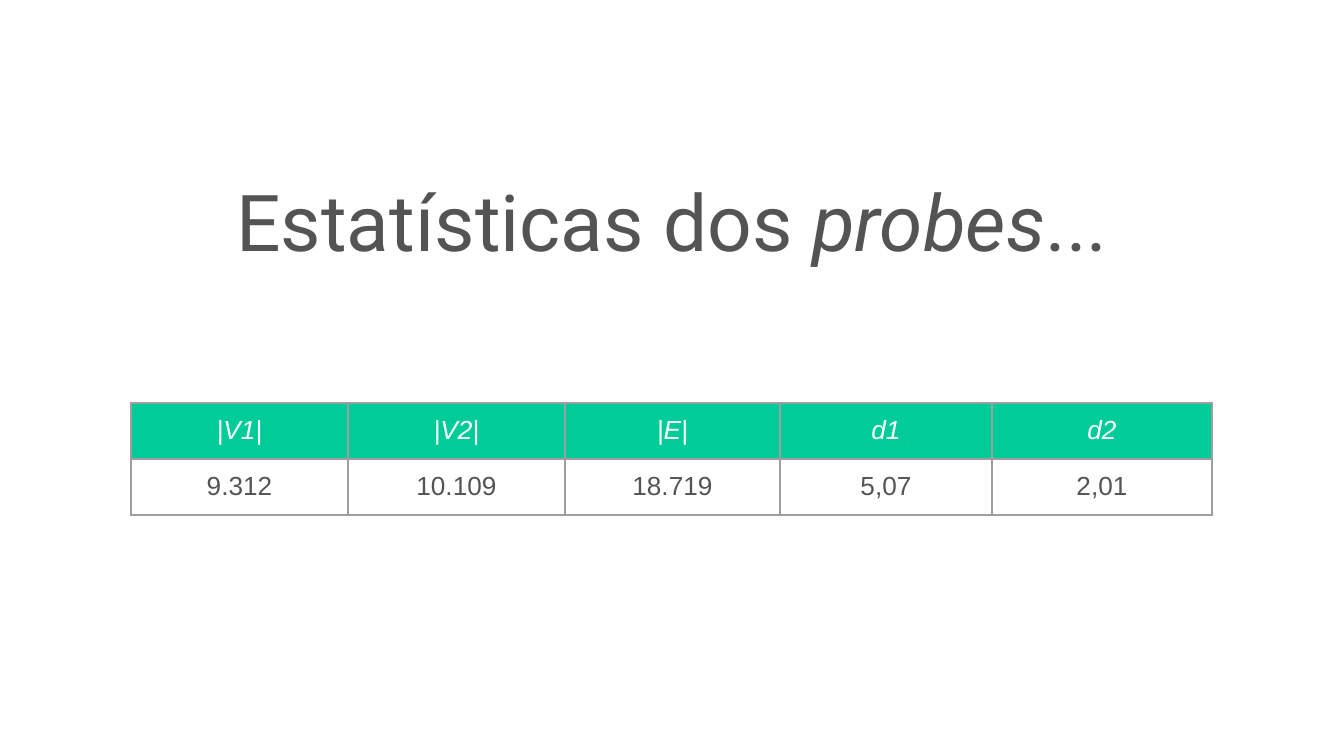
"""Build a title slide with a one-row table of probe statistics."""
from lxml import etree
from pptx import Presentation
from pptx.dml.color import RGBColor
from pptx.enum.text import MSO_ANCHOR, PP_ALIGN
from pptx.oxml.ns import qn
from pptx.util import Pt

CENTER, MIDDLE = PP_ALIGN.CENTER, MSO_ANCHOR.MIDDLE
GREY = RGBColor(0x54, 0x54, 0x54)
WHITE = RGBColor(0xFF, 0xFF, 0xFF)
GREEN = RGBColor(0x00, 0xCC, 0x99)
BORDER = RGBColor(0x9E, 0x9E, 0x9E)

TITLE = [("Estatísticas dos ", False), ("probes", True), ("...", False)]
ROWS = [
    ["|V1|", "|V2|", "|E|", "d1", "d2"],
    ["9.312", "10.109", "18.719", "5,07", "2,01"],
]
COLUMN_WIDTHS = [217, 217, 215, 212, 220]
ROW_HEIGHT = 56
TABLE_LEFT, TABLE_TOP = 131, 403


def px(n):
    return round(n * 914400 / 134.4)


def style_run(r, font, size, color, italic):
    r.font.name = font
    r.font.size = Pt(size)
    r.font.color.rgb = color
    r.font.italic = italic


def set_margins(box, x, y):
    box.margin_left = box.margin_right = px(x)
    box.margin_top = box.margin_bottom = px(y)


def add_borders(cell):
    tc_pr = cell._tc.get_or_add_tcPr()
    for i, side in enumerate(("lnL", "lnR", "lnT", "lnB")):
        ln = etree.Element(qn(f"a:{side}"), w=str(Pt(0.75)))
        fill = etree.SubElement(ln, qn("a:solidFill"))
        etree.SubElement(fill, qn("a:srgbClr"), val=str(BORDER))
        tc_pr.insert(i, ln)


def add_title(s):
    sp = s.shapes.title
    sp.left, sp.top, sp.width, sp.height = px(0), px(140), px(1344), px(172)
    tf = sp.text_frame
    tf.word_wrap = True
    tf.vertical_anchor = MIDDLE
    set_margins(tf, 9, 5)
    p = tf.paragraphs[0]
    p.alignment = CENTER
    p.line_spacing = 0.9
    for text, italic in TITLE:
        r = p.add_run()
        r.text = text
        style_run(r, "Roboto", 42, GREY, italic)


def add_statistics(s):
    frame = s.shapes.add_table(
        len(ROWS), len(COLUMN_WIDTHS), px(TABLE_LEFT), px(TABLE_TOP),
        px(sum(COLUMN_WIDTHS)), px(ROW_HEIGHT * len(ROWS)))
    table = frame.table
    table.horz_banding = False
    for column, width in zip(table.columns, COLUMN_WIDTHS):
        column.width = px(width)
    for i, values in enumerate(ROWS):
        is_header = i == 0
        table.rows[i].height = px(ROW_HEIGHT)
        for j, value in enumerate(values):
            cell = table.cell(i, j)
            set_margins(cell, 13, 13)
            if is_header:
                cell.fill.solid()
                cell.fill.fore_color.rgb = GREEN
            else:
                cell.fill.background()
            add_borders(cell)
            p = cell.text_frame.paragraphs[0]
            p.text = value
            p.alignment = CENTER
            style_run(p.runs[0], "Arial", 14, WHITE if is_header else GREY, is_header)
            p.runs[0].font.bold = False


def main():
    prs = Presentation()
    prs.slide_width, prs.slide_height = px(1344), px(756)
    s = prs.slides.add_slide(prs.slide_layouts[5])
    add_title(s)
    add_statistics(s)
    prs.save("out.pptx")


if __name__ == "__main__":
    main()
